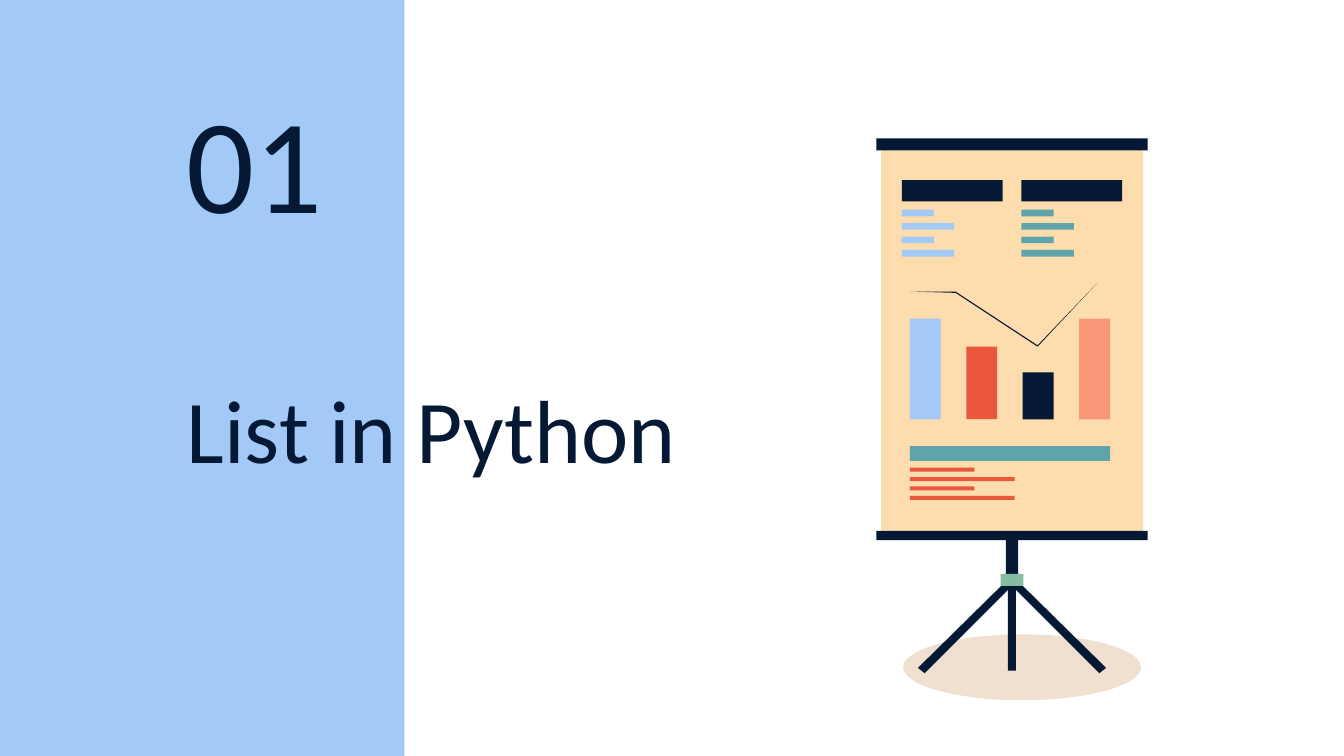
from lxml.etree import SubElement
from pptx import Presentation
from pptx.dml.color import RGBColor
from pptx.enum.shapes import MSO_SHAPE
from pptx.enum.text import MSO_ANCHOR, MSO_AUTO_SIZE, PP_ALIGN
from pptx.oxml.ns import qn
from pptx.util import Inches, Pt

WIDE = 10
HIGH = WIDE * 9 / 16
NAVY, BLUE, TEAL, RED = "051934", "A3CAF7", "5FA4AB", "EB573D"
SAND, ROSE, MINT, SHADE = "FDDCAE", "FA9778", "85BCA2", "B45F06"
FONT = "Calibri"
TITLE, NUMBER = "List in Python", "01"

AXIS = 7.53
STAND = [(0.06, 4.22, 0.77, NAVY), (0.09, 3.95, 0.41, NAVY), (0.17, 4.27, 0.09, MINT)]
BOARD = [(1.95, 1.12, 2.83, SAND), (2.02, 3.95, 0.07, NAVY), (2.02, 1.03, 0.09, NAVY)]
LEG = [(-0.02, 4.3), (-0.7, 4.97), (-0.65, 5.01), (0.02, 4.34)]
TREND = [(6.77, 2.17), (7.11, 2.17), (7.72, 2.57), (8.16, 2.11),
         (7.72, 2.58), (7.11, 2.18)]
BARS = [(0.75, BLUE), (0.54, RED), (0.35, NAVY), (0.75, ROSE)]
BASE, PITCH = 3.12, 0.42
LISTS = [
    dict(left=6.71, top=1.34, wide=0.75, high=0.16, head=NAVY, hue=BLUE,
         start=1.56, step=0.1, thick=0.05, sizes=(0.24, 0.39)),
    dict(left=7.6, top=1.34, wide=0.75, high=0.16, head=NAVY, hue=TEAL,
         start=1.56, step=0.1, thick=0.05, sizes=(0.24, 0.39)),
    dict(left=6.77, top=3.32, wide=1.49, high=0.11, head=TEAL, hue=RED,
         start=3.48, step=0.07, thick=0.03, sizes=(0.48, 0.78)),
]


def tint(hue):
    """Return the colour of a hex string."""
    return RGBColor.from_string(hue)


def paint(shape, hue):
    """Give a shape a plain fill with no line or shadow."""
    shape.shadow.inherit = False
    shape.fill.solid()
    shape.fill.fore_color.rgb = tint(hue)
    shape.line.fill.background()
    return shape


def block(slide, left, top, wide, high, hue, kind=MSO_SHAPE.RECTANGLE):
    """Add a filled preset shape."""
    box = [Inches(size) for size in (left, top, wide, high)]
    return paint(slide.shapes.add_shape(kind, *box), hue)


def outline(slide, spots, hue):
    """Add a filled polygon."""
    first, *rest = [(Inches(x), Inches(y)) for x, y in spots]
    pen = slide.shapes.build_freeform(*first)
    pen.add_line_segments(rest, close=True)
    paint(pen.convert_to_shape(), hue)


def write(shape, box, text, size, anchor, space):
    """Place a text shape and fill it with one run."""
    shape.left, shape.top, shape.width, shape.height = map(Inches, box)
    frame = shape.text_frame
    frame.word_wrap = True
    frame.auto_size = MSO_AUTO_SIZE.NONE
    frame.vertical_anchor = anchor
    frame.margin_left = frame.margin_right = Inches(0.1)
    frame.margin_top = frame.margin_bottom = Inches(0.1)
    para = frame.paragraphs[0]
    para.alignment = PP_ALIGN.LEFT
    para.line_spacing = space
    run = para.add_run()
    run.text = text
    run.font.name = FONT
    run.font.size = Pt(size)
    run.font.color.rgb = tint(NAVY)


def column(slide, left, top, wide, high, head, hue, start, step, thick, sizes):
    """Draw a heading bar with four short lines under it."""
    block(slide, left, top, wide, high, head)
    for row, size in enumerate(sizes * 2):
        block(slide, left, start + row * step, size, thick, hue)


def easel(slide):
    """Draw the stand, the board and what is on it."""
    for side in (1, -1):
        outline(slide, [(AXIS + side * x, y) for x, y in LEG], NAVY)
    for wide, top, high, hue in STAND + BOARD:
        block(slide, AXIS - wide / 2, top, wide, high, hue)
    for item in LISTS:
        column(slide, **item)
    for col, (high, hue) in enumerate(BARS):
        block(slide, 6.77 + col * PITCH, BASE - high, 0.23, high, hue)
    outline(slide, TREND, NAVY)


def main():
    """Build and save the slide."""
    deck = Presentation()
    deck.slide_width, deck.slide_height = Inches(WIDE), Inches(HIGH)
    slide = deck.slides.add_slide(deck.slide_layouts[5])
    title = slide.shapes.title
    block(slide, 0, 0, 0.3 * WIDE + 0.01, HIGH, BLUE)
    floor = block(slide, 6.72, 4.72, 1.77, 0.49, SHADE, MSO_SHAPE.OVAL)
    shade = next(floor.element.iter(qn("a:srgbClr")))
    SubElement(shade, qn("a:alpha"), val="19000")
    slide.shapes.element.append(title.element)
    write(title, (1.29, 2.8, 4.24, 0.92), TITLE, 48, MSO_ANCHOR.MIDDLE, 0.8)
    label = slide.shapes.add_textbox(0, 0, 0, 0)
    write(label, (1.29, 1.03, 2.75, 0.86), NUMBER, 72, MSO_ANCHOR.BOTTOM, 1.0)
    easel(slide)
    deck.save("out.pptx")


if __name__ == "__main__":
    main()
